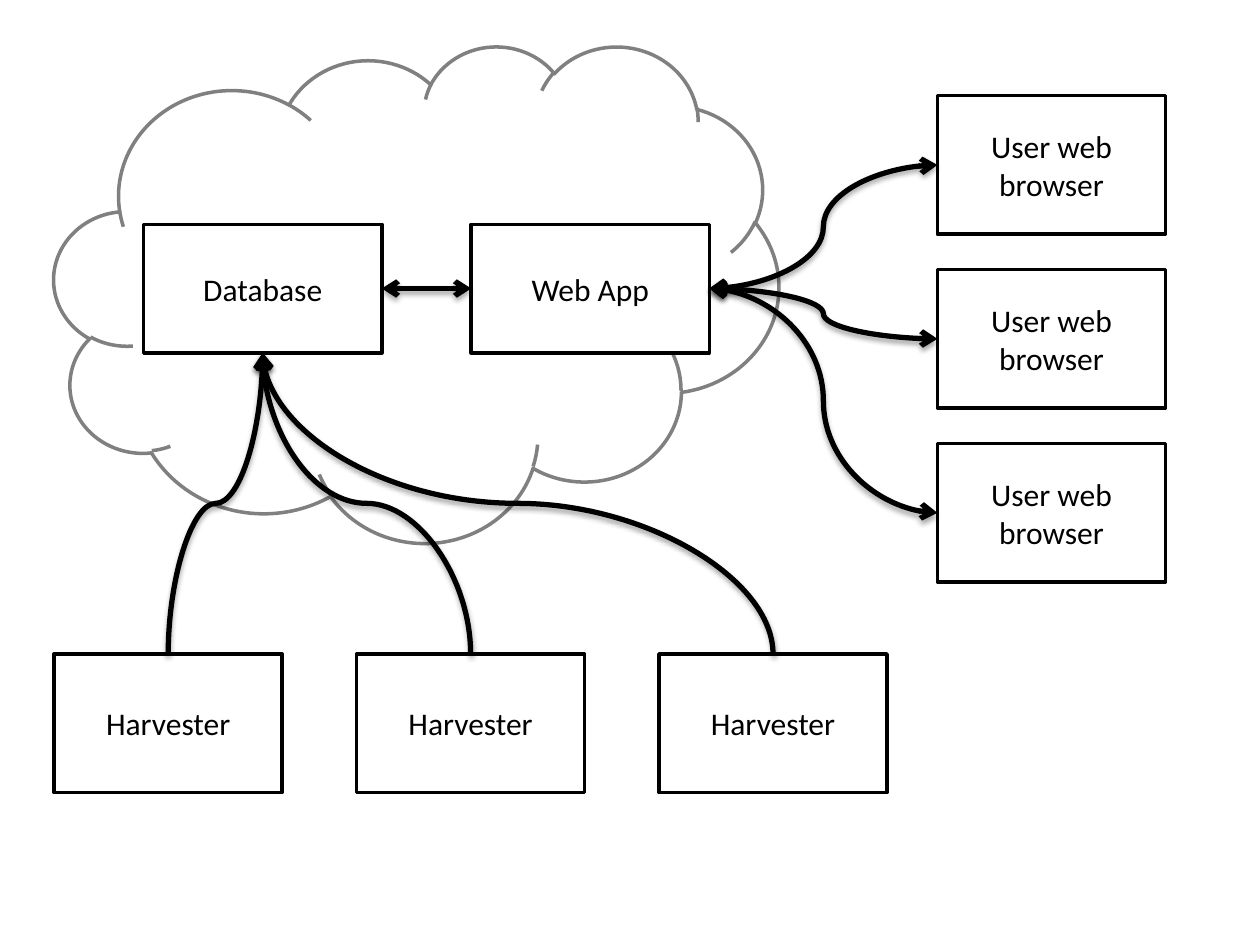
import pptx
import pptx.dml.color
import pptx.enum.shapes
import pptx.enum.text
import pptx.oxml
import pptx.oxml.ns
import pptx.util
from pptx.util import Inches, Pt

SHAPES = pptx.enum.shapes.MSO_SHAPE
CONNECTORS = pptx.enum.shapes.MSO_CONNECTOR
TOP, LEFT, BOTTOM, RIGHT = range(4)

CLOUD = (0.43, 0.36, 5.75, 3.94)
SERVERS = {"Database": (1.14, 1.78), "Web App": (3.74, 1.78)}
SERVER_SIZE = (1.89, 1.02)
CLIENT_SIZE = (1.81, 1.1)
BROWSERS = [("User web browser", 7.44, 0.76 + 1.38 * row) for row in range(3)]
HARVESTERS = [("Harvester", 0.43 + 2.4 * column, 5.19) for column in range(3)]

SHADOW = (
    f'<a:effectLst {pptx.oxml.ns.nsdecls("a")}>'
    f'<a:outerShdw blurRad="{Pt(3.1)}" dist="{Pt(1.8)}" dir="5400000" rotWithShape="0">'
    '<a:srgbClr val="000000"><a:alpha val="35000"/></a:srgbClr>'
    "</a:outerShdw></a:effectLst>"
)


def color(value):
    return pptx.dml.color.RGBColor.from_string(value)


def add_outline(kind, left, top, width, height, line_color):
    shape = slide.shapes.add_shape(
        kind, Inches(left), Inches(top), Inches(width), Inches(height)
    )
    shape.shadow.inherit = False
    shape.fill.solid()
    shape.fill.fore_color.rgb = color("FFFFFF")
    shape.line.color.rgb = color(line_color)
    shape.line.width = Pt(2)
    return shape


def add_box(text, left, top, size):
    box = add_outline(SHAPES.RECTANGLE, left, top, *size, "000000")
    box.text_frame.text = text
    box.text_frame.vertical_anchor = pptx.enum.text.MSO_ANCHOR.MIDDLE
    paragraph = box.text_frame.paragraphs[0]
    paragraph.alignment = pptx.enum.text.PP_ALIGN.CENTER
    paragraph.font.name = "Calibri"
    paragraph.font.size = Pt(18)
    paragraph.font.color.rgb = color("000000")
    return box


def add_arrow(kind, start, start_site, end, end_site, arrow_ends):
    connector = slide.shapes.add_connector(kind, 0, 0, 0, 0)
    connector.begin_connect(start, start_site)
    connector.end_connect(end, end_site)
    connector.line.color.rgb = color("000000")
    connector.line.width = Pt(3)
    line = connector.line._get_or_add_ln()
    for arrow_end in arrow_ends:
        line.append(pptx.oxml.parse_xml(
            f'<a:{arrow_end} {pptx.oxml.ns.nsdecls("a")} type="arrow"/>'
        ))
    connector._element.spPr.append(pptx.oxml.parse_xml(SHADOW))
    return connector


def turn_upright(connector):
    start_x, start_y = connector.begin_x, connector.begin_y
    end_x, end_y = connector.end_x, connector.end_y
    center_x, center_y = (start_x + end_x) // 2, (start_y + end_y) // 2
    half_run, half_rise = (start_x - end_x) // 2, (start_y - end_y) // 2
    connector.begin_x, connector.begin_y = center_x - half_rise, center_y + half_run
    connector.end_x, connector.end_y = center_x + half_rise, center_y - half_run
    frame = connector._element.spPr.find(pptx.oxml.ns.qn("a:xfrm"))
    frame.set("rot", str(270 * 60000))


presentation = pptx.Presentation()
presentation.slide_width, presentation.slide_height = Inches(10), Inches(7.5)
slide = presentation.slides.add_slide(presentation.slide_layouts[6])

add_outline(SHAPES.CLOUD, *CLOUD, "808080")
database, web_app = [
    add_box(name, *position, SERVER_SIZE) for name, position in SERVERS.items()
]
browsers = [add_box(*browser, CLIENT_SIZE) for browser in BROWSERS]
harvesters = [add_box(*harvester, CLIENT_SIZE) for harvester in HARVESTERS]

both_ends = ("headEnd", "tailEnd")
for harvester in harvesters:
    turn_upright(add_arrow(
        CONNECTORS.CURVE, harvester, TOP, database, BOTTOM, ("tailEnd",)
    ))
add_arrow(CONNECTORS.STRAIGHT, database, RIGHT, web_app, LEFT, both_ends)
for browser in browsers:
    add_arrow(CONNECTORS.CURVE, web_app, RIGHT, browser, LEFT, both_ends)

presentation.save("out.pptx")
